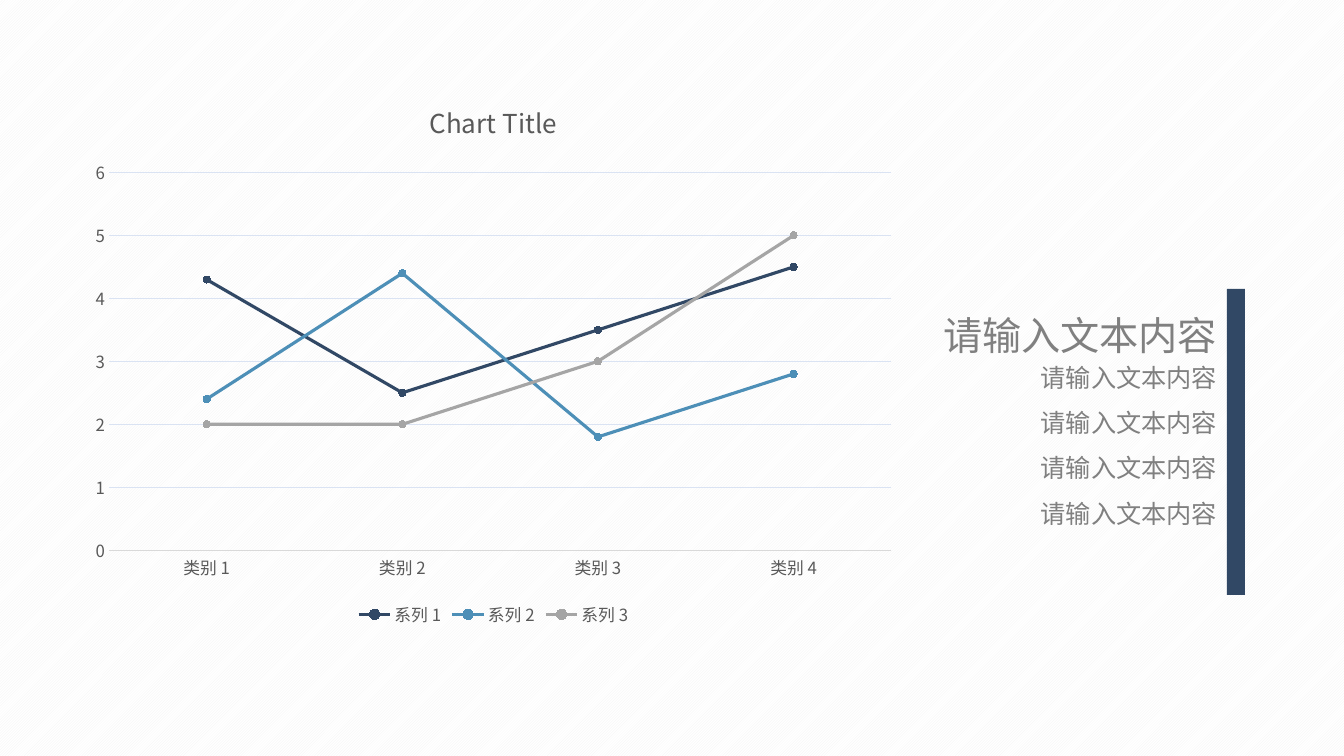
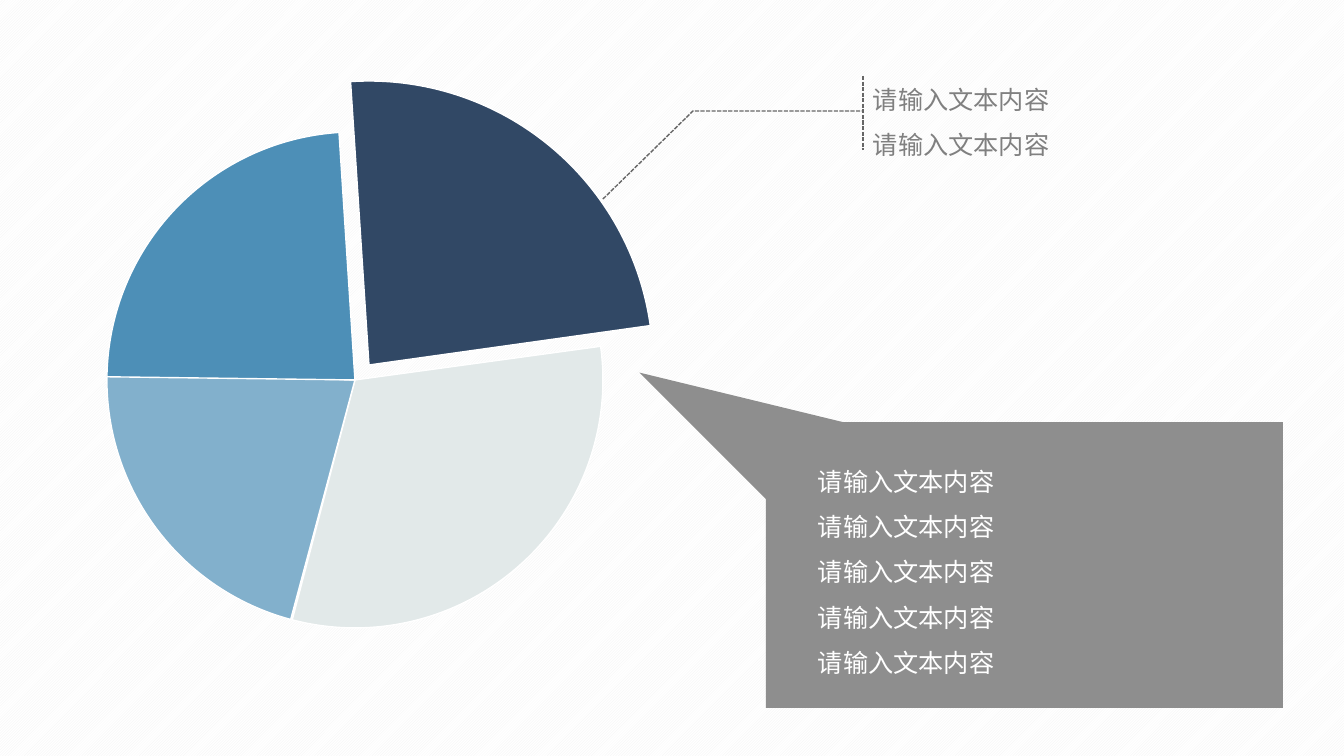
from typing import NamedTuple

from lxml.etree import SubElement
from pptx import Presentation
from pptx.chart.data import CategoryChartData
from pptx.dml.color import RGBColor
from pptx.enum.chart import XL_CHART_TYPE as ChartType
from pptx.enum.chart import XL_LEGEND_POSITION as LegendPosition
from pptx.enum.chart import XL_MARKER_STYLE as MarkerStyle
from pptx.enum.chart import XL_TICK_MARK as TickMark
from pptx.enum.dml import MSO_LINE as LineDash
from pptx.enum.dml import MSO_PATTERN as Pattern
from pptx.enum.shapes import MSO_CONNECTOR as Connector
from pptx.enum.shapes import MSO_SHAPE as Preset
from pptx.enum.text import MSO_AUTO_SIZE as AutoSize
from pptx.enum.text import PP_ALIGN as Align
from pptx.oxml.ns import qn
from pptx.util import Emu, Pt

SLIDE_WIDTH, SLIDE_HEIGHT = 1344, 756
EMU_PER_PX = 12192000 / SLIDE_WIDTH
FONT = "Noto Sans CJK SC"
PROMPT = "请输入文本内容"
COLORS = {
    "navy": "314865",
    "blue": "4D8FB7",
    "sky": "82B0CC",
    "mist": "E2E9E9",
    "silver": "A5A5A5",
    "panel": "8E8E8E",
    "text": "808080",
    "chart_text": "595959",
    "leader": "666666",
    "axis": "D9D9D9",
    "grid": "DAE3F3",
    "stripe": "F2F2F2",
    "white": "FFFFFF",
}


class Box(NamedTuple):
    left: int
    top: int
    width: int
    height: int


class Series(NamedTuple):
    name: str
    values: tuple[float, ...]
    color: str


class Slice(NamedTuple):
    box: Box
    start: float
    end: float
    color: str


RAISED_PIE = Box(85, 81, 568, 568)
PIE = Box(107, 132, 496, 496)
SLICES = (
    Slice(RAISED_PIE, 266.28, 352.02, "navy"),
    Slice(PIE, 352.21, 104.64, "mist"),
    Slice(PIE, 105.01, 181.42, "sky"),
    Slice(PIE, 180.73, 266.32, "blue"),
)
CATEGORIES = [f"类别 {number}" for number in range(1, 5)]
SERIES = (
    Series("系列 1", (4.3, 2.5, 3.5, 4.5), "navy"),
    Series("系列 2", (2.4, 4.4, 1.8, 2.8), "blue"),
    Series("系列 3", (2, 2, 3, 5), "silver"),
)


def px(length: int) -> Emu:
    return Emu(round(length * EMU_PER_PX))


def to_emu(box: Box) -> list[Emu]:
    return [px(length) for length in box]


def rgb(color: str) -> RGBColor:
    return RGBColor.from_string(COLORS[color])


def set_font(font, size: float, color: str) -> None:
    """Apply the deck font to Latin and East Asian characters alike."""
    font.name = FONT
    font.size = Pt(size)
    font.bold = False
    font.color.rgb = rgb(color)
    SubElement(font._element, qn("a:ea")).set("typeface", FONT)


def set_line(line, color: str, width: float, dash=None) -> None:
    line.color.rgb = rgb(color)
    line.width = Pt(width)
    if dash is not None:
        line.dash_style = dash


def add_slide(presentation):
    """Add a blank slide with the striped background."""
    slide = presentation.slides.add_slide(presentation.slide_layouts[6])
    fill = slide.background.fill
    fill.patterned()
    fill.pattern = Pattern.DARK_UPWARD_DIAGONAL
    fill.fore_color.rgb = rgb("stripe")
    fill.back_color.rgb = rgb("white")
    return slide


def add_text(slide, box: Box, text: str, *, size: int = 18, color: str = "text",
             align=Align.LEFT, spacing: float = 1.5, wrap: bool = True) -> None:
    """Add a text box with one paragraph for each line of text."""
    frame = slide.shapes.add_textbox(*to_emu(box)).text_frame
    frame.word_wrap = wrap
    frame.auto_size = AutoSize.SHAPE_TO_FIT_TEXT
    frame.text = text
    for paragraph in frame.paragraphs:
        paragraph.alignment = align
        paragraph.line_spacing = spacing
        set_font(paragraph.runs[0].font, size, color)


def add_filled(slide, preset, box: Box, color: str, outline: str | None = None):
    shape = slide.shapes.add_shape(preset, *to_emu(box))
    shape.shadow.inherit = False
    shape.fill.solid()
    shape.fill.fore_color.rgb = rgb(color)
    if outline:
        set_line(shape.line, outline, 1)
    else:
        shape.line.fill.background()
    return shape


def add_slice(slide, pie_slice: Slice) -> None:
    shape = add_filled(slide, Preset.PIE, pie_slice.box, pie_slice.color, "white")
    # Angles are stored in 1/60000 degree, adjustments in units of 100000.
    for index, angle in enumerate((pie_slice.start, pie_slice.end)):
        shape.adjustments[index] = angle * 0.6


def add_leader(slide, points: list[tuple[int, int]], top: int, bottom: int) -> None:
    """Draw a dashed path that ends at a dashed vertical rule."""
    corners = [(px(x), px(y)) for x, y in points]
    builder = slide.shapes.build_freeform(*corners[0])
    builder.add_line_segments(corners[1:], close=False)
    path = builder.convert_to_shape()
    path.shadow.inherit = False
    path.fill.background()

    x = corners[-1][0]
    rule = slide.shapes.add_connector(Connector.STRAIGHT, x, px(top), x, px(bottom))
    SubElement(rule._element.spPr, qn("a:effectLst"))
    for shape in (path, rule):
        set_line(shape.line, "leader", 1, LineDash.SQUARE_DOT)


def add_line_chart(slide, box: Box) -> None:
    data = CategoryChartData()
    data.categories = CATEGORIES
    for series in SERIES:
        data.add_series(series.name, series.values)
    chart = slide.shapes.add_chart(ChartType.LINE_MARKERS, *to_emu(box), data).chart
    set_font(chart.font, 10, "chart_text")

    chart.has_title = True
    title = chart.chart_title.text_frame
    title.text = "Chart Title"
    set_font(title.paragraphs[0].runs[0].font, 18.6, "chart_text")
    chart.has_legend = True
    chart.legend.position = LegendPosition.BOTTOM
    chart.legend.include_in_layout = False
    set_font(chart.legend.font, 12, "chart_text")

    for axis in (chart.category_axis, chart.value_axis):
        axis.major_tick_mark = axis.minor_tick_mark = TickMark.NONE
        set_font(axis.tick_labels.font, 12, "chart_text")
    set_line(chart.category_axis.format.line, "axis", 0.75)
    values = chart.value_axis
    values.minimum_scale, values.maximum_scale, values.major_unit = 0, 6, 1
    values.format.line.fill.background()
    set_line(values.major_gridlines.format.line, "grid", 0.75)

    chart.plots[0].vary_by_categories = False
    for series, plotted in zip(SERIES, chart.plots[0].series):
        plotted.smooth = False
        set_line(plotted.format.line, series.color, 2.25)
        marker = plotted.marker
        marker.style, marker.size = MarkerStyle.CIRCLE, 5
        marker.format.fill.solid()
        marker.format.fill.fore_color.rgb = rgb(series.color)
        set_line(marker.format.line, series.color, 0.75)


def prompts(count: int) -> str:
    return "\n".join([PROMPT] * count)


def build_line_slide(presentation) -> None:
    slide = add_slide(presentation)
    add_line_chart(slide, Box(79, 79, 829, 552))
    add_filled(slide, Preset.RECTANGLE, Box(1227, 289, 18, 306), "navy")
    add_text(slide, Box(886, 342, 341, 194), prompts(4), align=Align.RIGHT)
    add_text(slide, Box(929, 212, 298, 152), PROMPT, size=28, align=Align.RIGHT,
             spacing=3.0, wrap=False)


def build_pie_slide(presentation) -> None:
    slide = add_slide(presentation)
    for pie_slice in SLICES:
        add_slice(slide, pie_slice)
    add_leader(slide, [(603, 199), (693, 111), (863, 111)], top=76, bottom=150)
    add_text(slide, Box(863, 64, 341, 97), prompts(2))

    add_filled(slide, Preset.RECTANGLE, Box(766, 422, 517, 286), "panel")
    pointer = add_filled(slide, Preset.ISOSCELES_TRIANGLE, Box(688, 306, 112, 184), "panel")
    pointer.adjustments[0] = 0
    pointer.rotation = 315
    add_text(slide, Box(808, 446, 341, 239), prompts(5), color="white")


def main() -> None:
    presentation = Presentation()
    presentation.slide_width = px(SLIDE_WIDTH)
    presentation.slide_height = px(SLIDE_HEIGHT)
    build_line_slide(presentation)
    build_pie_slide(presentation)
    presentation.save("out.pptx")


if __name__ == "__main__":
    main()
